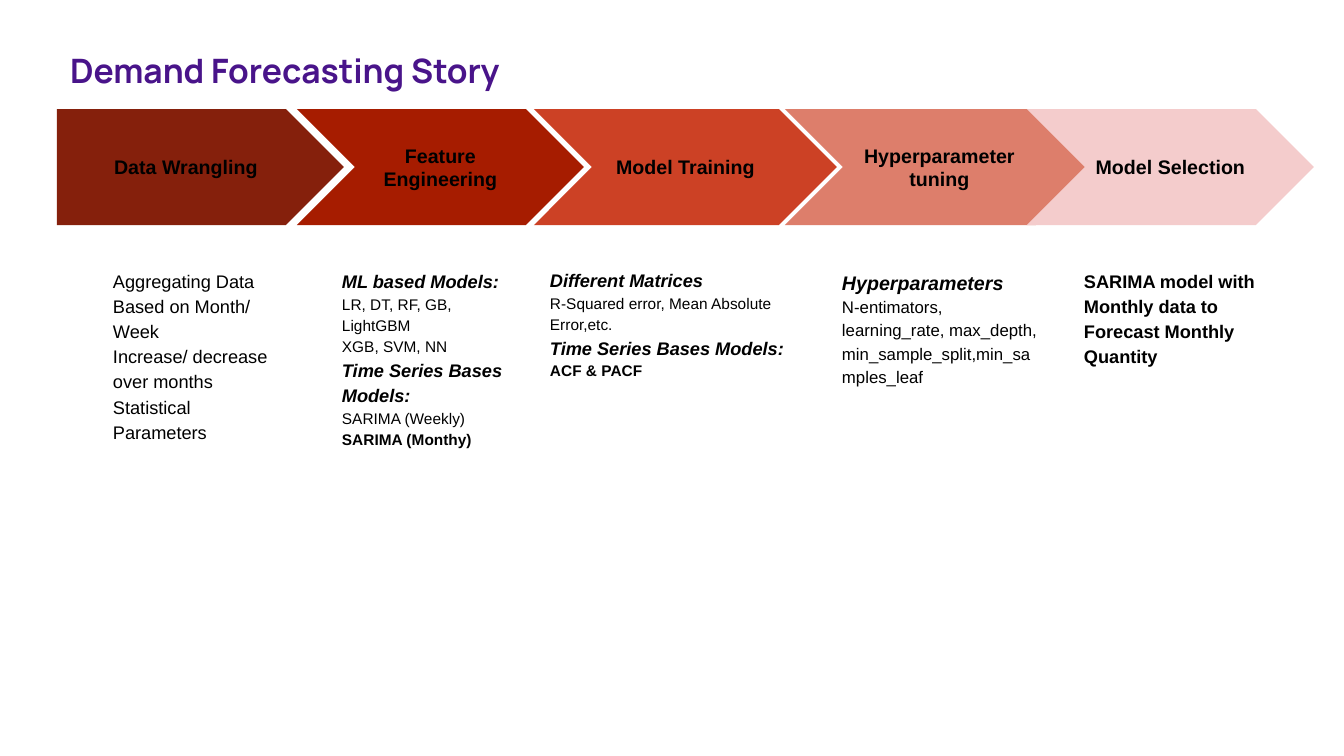
"""Build the demand forecasting slide: five stage arrows with notes below."""
from pptx import Presentation
from pptx.dml.color import RGBColor
from pptx.enum.shapes import MSO_SHAPE as Shape
from pptx.enum.text import MSO_ANCHOR as Anchor, PP_ALIGN as Align
from pptx.util import Pt

PX = 914400 / 100.8
WIDE, HIGH = 1344, 756
COLORS = {
    "title": "49148A", "text": "000000",
    "wrangle": "85200C", "feature": "A61C00", "train": "CC4125",
    "tune": "DD7E6B", "select": "F4CCCC",
}
TITLE = "Demand Forecasting Story"

# stage: label, colour, arrow (left, width), notes (left, top, width), lines (text, size, style)
STAGES = [
    ("Data Wrangling", "wrangle", (57, 287), (103, 257, 181), [
        ("Aggregating Data Based on Month/ Week", 13, ""),
        ("Increase/ decrease over months", 13, ""),
        ("Statistical Parameters", 13, "")]),
    ("Feature Engineering", "feature", (297, 287), (332, 257, 195), [
        ("ML based Models:", 13, "bi"),
        ("LR, DT, RF, GB, LightGBM", 11, ""),
        ("XGB, SVM, NN", 11, ""),
        ("Time Series Bases Models:", 13, "bi"),
        ("SARIMA (Weekly)", 11, ""),
        ("SARIMA (Monthy)", 11, "b")]),
    ("Model Training", "train", (534, 303), (540, 256, 278), [
        ("Different Matrices", 13, "bi"),
        ("R-Squared error, Mean Absolute Error,etc.", 11, ""),
        ("Time Series Bases Models:", 13, "bi"),
        ("ACF & PACF", 11, "b")]),
    ("Hyperparameter tuning", "tune", (785, 309), (832, 257, 218), [
        ("Hyperparameters", 14, "bi"),
        ("N-entimators, learning_rate, max_depth, "
         "min_sample_split,min_samples_leaf", 12, "")]),
    ("Model Selection", "select", (1027, 287), (1074, 257, 218), [
        ("SARIMA model with Monthly data to Forecast Monthly Quantity", 13, "b")]),
]
ROW_TOP, ROW_HIGH, NOTE_HIGH = 109, 116, 454


def emu(*sizes):
    return [round(size * PX) for size in sizes]


def write(shape, lines, pad=10, space=1.0, align=Align.LEFT,
          anchor=Anchor.TOP, face="Arial", color="text"):
    frame = shape.text_frame
    frame.word_wrap = True
    frame.vertical_anchor = anchor
    inset, = emu(pad)
    frame.margin_left = frame.margin_right = inset
    frame.margin_top = frame.margin_bottom = inset
    for i, (text, size, style) in enumerate(lines):
        para = frame.add_paragraph() if i else frame.paragraphs[0]
        para.alignment = align
        para.line_spacing = space
        run = para.add_run()
        run.text = text
        font = run.font
        font.name, font.size = face, Pt(size)
        font.bold, font.italic = "b" in style, "i" in style
        font.color.rgb = RGBColor.from_string(COLORS[color])


def add_arrow(shapes, kind, label, color, left, width):
    arrow = shapes.add_shape(kind, *emu(left, ROW_TOP, width, ROW_HIGH))
    arrow.adjustments[0] = 0.5
    arrow.shadow.inherit = False
    arrow.fill.solid()
    arrow.fill.fore_color.rgb = RGBColor.from_string(COLORS[color])
    arrow.line.fill.background()
    write(arrow, [(label, 14, "b")], align=Align.CENTER, anchor=Anchor.MIDDLE)


def main():
    deck = Presentation()
    deck.slide_width, deck.slide_height = emu(WIDE, HIGH)
    shapes = deck.slides.add_slide(deck.slide_layouts[6]).shapes

    title = shapes.add_textbox(*emu(57, 45, 939, 64))
    write(title, [(TITLE, 24, "b")], pad=13, space=0.8, face="Manrope", color="title")

    for i, (label, color, span, place, lines) in enumerate(STAGES):
        kind = Shape.CHEVRON if i else Shape.PENTAGON
        add_arrow(shapes, kind, label, color, *span)
        note = shapes.add_textbox(*emu(*place, NOTE_HIGH))
        write(note, lines, space=1.15)

    deck.save("out.pptx")


if __name__ == "__main__":
    main()
